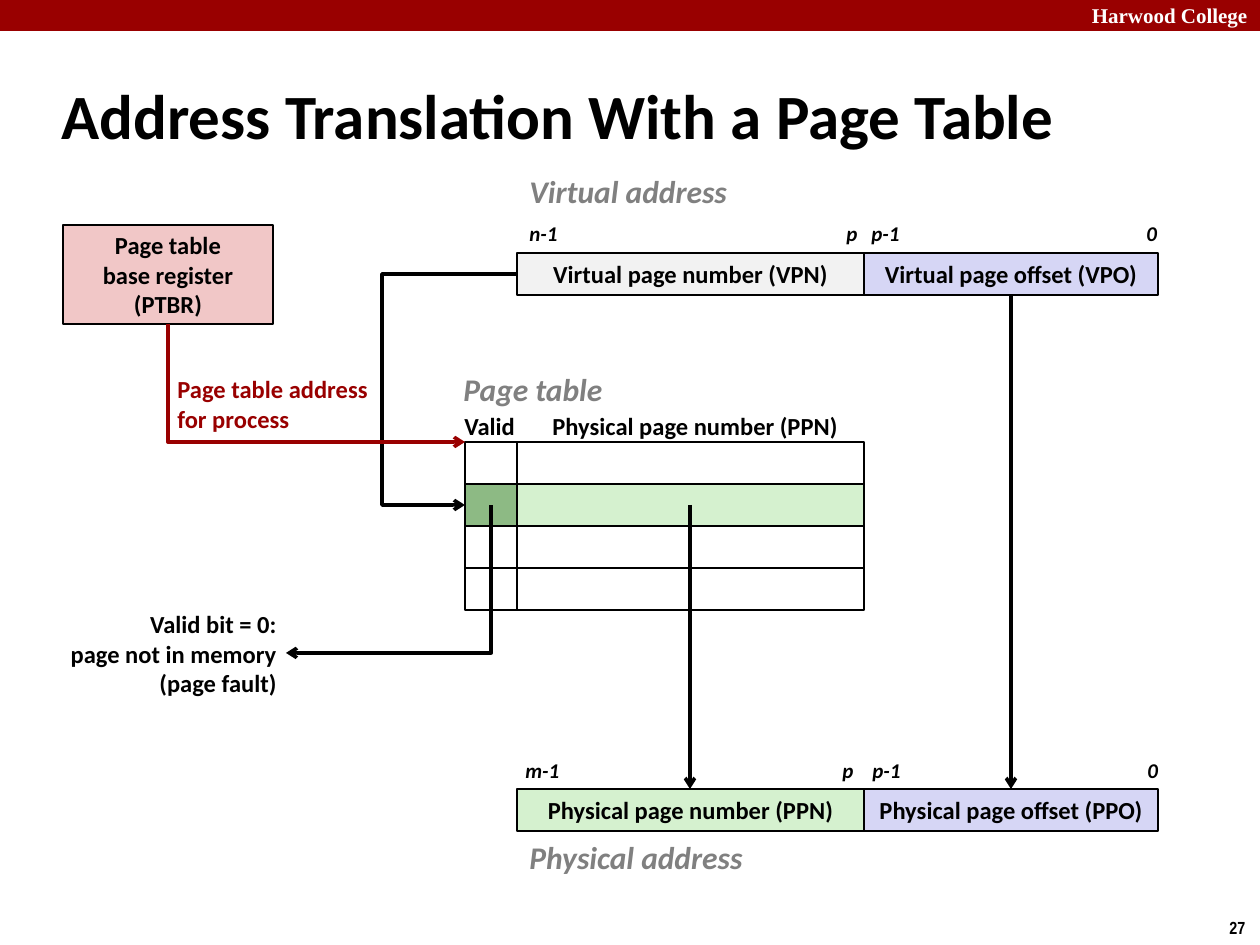
from lxml import etree
from pptx import Presentation
from pptx import util as u
from pptx.dml.color import RGBColor
from pptx.enum import shapes, text
from pptx.oxml.ns import qn

BLACK = RGBColor(0, 0, 0)
WHITE = RGBColor(255, 255, 255)
RED = RGBColor(0x99, 0, 0)
PINK = RGBColor(0xF1, 0xC7, 0xC7)
GRAY = RGBColor(0x80, 0x80, 0x80)
PALE = RGBColor(0xF2, 0xF2, 0xF2)
LILAC = RGBColor(0xD6, 0xD6, 0xF5)
MINT = RGBColor(0xD5, 0xF1, 0xCF)
GREEN = RGBColor(0x8D, 0xBA, 0x84)

LEFT, MID, SPLIT, RIGHT = 465, 517, 864, 1158
ROW = 42
VIRT, TABLE, PHYS = 253, 442, 789
LEFT_ALIGN = text.PP_ALIGN.LEFT
CENTER = text.PP_ALIGN.CENTER
RIGHT_ALIGN = text.PP_ALIGN.RIGHT


def px(n):
    return u.Emu(round(n * 914400 / 126))


def write(frame, words, size, color=BLACK, align=LEFT_ALIGN, font="Calibri", slant=False):
    frame.text = words
    for para in frame.paragraphs:
        para.alignment = align
        for run in para.runs:
            run.font.name = font
            run.font.size = u.Pt(size)
            run.font.bold = True
            run.font.italic = slant
            run.font.color.rgb = color


def box(slide, x, y, wide, high, fill=None, words="", edge=BLACK):
    rect = slide.shapes.add_shape(shapes.MSO_SHAPE.RECTANGLE, px(x), px(y), px(wide), px(high))
    rect.shadow.inherit = False
    if fill is None:
        rect.fill.background()
    else:
        rect.fill.solid()
        rect.fill.fore_color.rgb = fill
    if edge is None:
        rect.line.fill.background()
    else:
        rect.line.color.rgb = edge
        rect.line.width = u.Pt(1)
    if words:
        frame = rect.text_frame
        frame.margin_left = frame.margin_right = 0
        frame.vertical_anchor = text.MSO_ANCHOR.MIDDLE
        write(frame, words, 14, align=CENTER)


def label(slide, x, y, wide, high, words, size, **style):
    item = slide.shapes.add_textbox(px(x), px(y), px(wide), px(high))
    frame = item.text_frame
    frame.word_wrap = False
    frame.auto_size = text.MSO_AUTO_SIZE.SHAPE_TO_FIT_TEXT
    write(frame, words, size, **style)


def arrow(slide, kind, start, end, color=BLACK, tip="tailEnd"):
    link = slide.shapes.add_connector(kind, *map(px, start + end))
    link.line.color.rgb = color
    link.line.width = u.Pt(2)
    props = link.element.spPr
    etree.SubElement(props.find(qn("a:ln")), qn("a:" + tip), type="arrow")
    etree.SubElement(props, qn("a:effectLst"))
    return props.find(qn("a:prstGeom"))


def corner(slide, tip, tail, color=BLACK):
    shape = arrow(slide, shapes.MSO_CONNECTOR.ELBOW, tip, tail, color, "headEnd")
    shape.set("prst", "bentConnector2")


def detour(slide, start, end, bend):
    shape = arrow(slide, shapes.MSO_CONNECTOR.ELBOW, start, end)
    ratio = round((start[0] - bend) / (start[0] - end[0]) * 100000)
    guides = shape.find(qn("a:avLst"))
    if guides is None:
        guides = etree.SubElement(shape, qn("a:avLst"))
    etree.SubElement(guides, qn("a:gd"), name="adj1", fmla=f"val {ratio}")


def address(slide, y, fill, page, offset):
    box(slide, MID, y, SPLIT - MID, ROW, fill, page)
    box(slide, SPLIT, y, RIGHT - SPLIT, ROW, LILAC, offset)


def bits(slide, y, marks):
    for x, wide, words in marks:
        label(slide, x, y, wide, 38, words, 12, slant=True)


def frame_page(slide):
    box(slide, 0, 0, 1260, 31, RED, edge=None)
    label(slide, 1078, -4, 182, 38, "Harwood College", 12,
          color=WHITE, font="Times New Roman", align=RIGHT_ALIGN)
    label(slide, 1217, 911, 43, 34, "27", 10, font="Arial Narrow")
    title = slide.shapes.title
    title.left, title.top, title.width, title.height = map(px, (49, 62, 1046, 105))
    title.text_frame.vertical_anchor = text.MSO_ANCHOR.MIDDLE
    write(title.text_frame, "Address Translation With a Page Table", 36)


def page_table(slide):
    for i in range(4):
        y = TABLE + i * ROW
        hit = i == 1
        box(slide, MID, y, SPLIT - MID, ROW, MINT if hit else None)
        box(slide, LEFT, y, MID - LEFT, ROW, GREEN if hit else None)


def labels(slide):
    for x, y, wide, words in (
        (MID, 166, 224, "Virtual address"),
        (MID, 832, 241, "Physical address"),
        (451, 364, 164, "Page table"),
    ):
        label(slide, x, y, wide, 50, words, 18, color=GRAY, slant=True)
    label(slide, 452, 405, 77, 43, "Valid", 14)
    label(slide, 540, 405, 312, 43, "Physical page number (PPN)", 14)
    label(slide, 165, 368, 218, 72, "Page table address\nfor process", 14, color=RED)
    label(slide, 57, 603, 232, 102, "Valid bit = 0:\npage not in memory\n(page fault)", 14,
          align=RIGHT_ALIGN)
    bits(slide, 214, ((1134, 42, "0"), (859, 59, "p-1"), (834, 42, "p"), (MID, 59, "n-1")))
    bits(slide, 751, ((1135, 42, "0"), (860, 59, "p-1"), (830, 42, "p"), (513, 64, "m-1")))


def arrows(slide):
    hit = TABLE + ROW * 3 // 2
    straight = shapes.MSO_CONNECTOR.STRAIGHT
    detour(slide, (MID, VIRT + ROW // 2), (LEFT, hit), 382)
    for x, y in (((SPLIT + RIGHT) // 2, VIRT + ROW), ((MID + SPLIT) // 2, hit)):
        arrow(slide, straight, (x, y), (x, PHYS))
    corner(slide, (286, 653), ((LEFT + MID) // 2, hit))
    corner(slide, (LEFT, TABLE), (168, 324), RED)


def main():
    deck = Presentation()
    deck.slide_width, deck.slide_height = px(1260), px(945)
    slide = deck.slides.add_slide(deck.slide_layouts[5])
    frame_page(slide)
    address(slide, VIRT, PALE, "Virtual page number (VPN)", "Virtual page offset (VPO)")
    page_table(slide)
    address(slide, PHYS, MINT, "Physical page number (PPN)", "Physical page offset (PPO)")
    box(slide, 63, 225, 210, 99, PINK, "Page table\vbase register\n(PTBR)")
    arrows(slide)
    labels(slide)
    deck.save("out.pptx")


if __name__ == "__main__":
    main()
